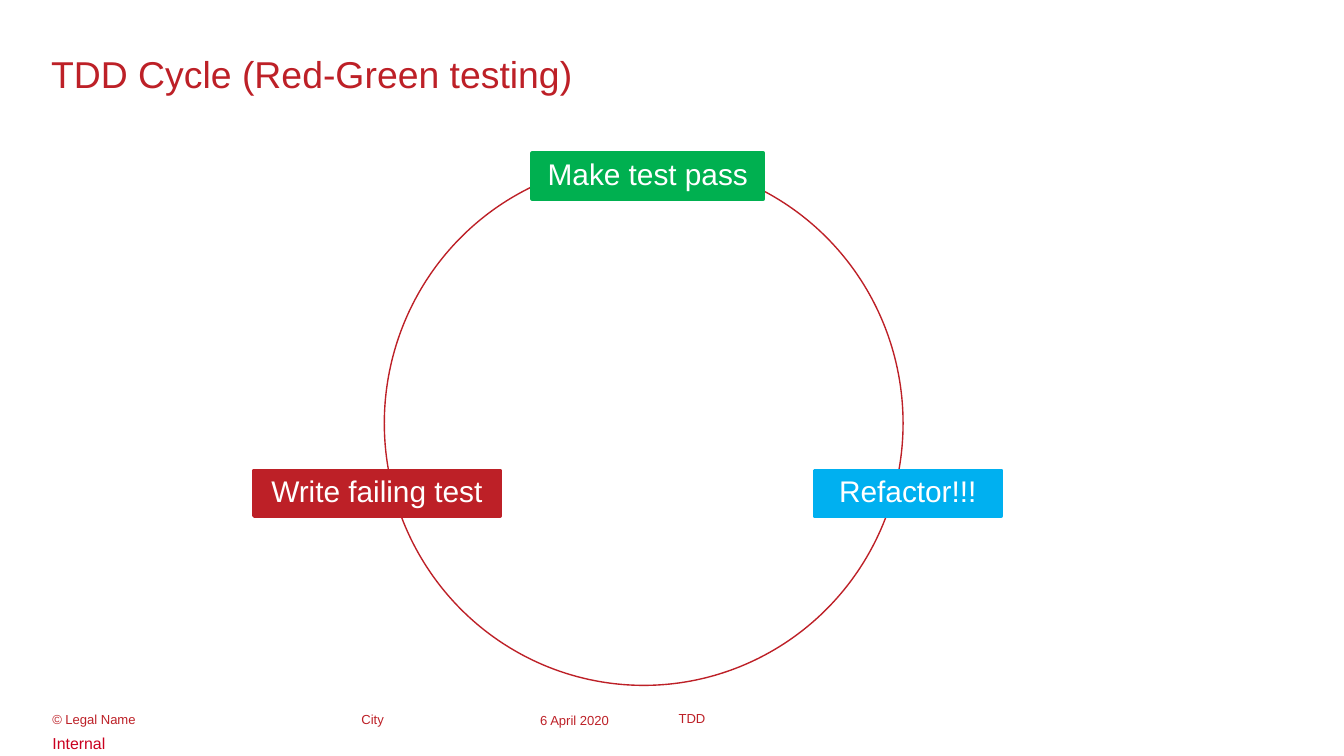
"""Build the TDD cycle slide: three labelled steps around a circle."""
from pptx import Presentation
from pptx.dml.color import RGBColor
from pptx.enum.shapes import MSO_SHAPE
from pptx.enum.text import MSO_ANCHOR, MSO_AUTO_SIZE, PP_ALIGN
from pptx.util import Inches, Pt

ELLIPSE, RECTANGLE = MSO_SHAPE.OVAL, MSO_SHAPE.RECTANGLE
TOP, MIDDLE = MSO_ANCHOR.TOP, MSO_ANCHOR.MIDDLE
LEFT, CENTER = PP_ALIGN.LEFT, PP_ALIGN.CENTER
RED = RGBColor(0xBD, 0x20, 0x27)
LABEL_RED = RGBColor(0xCA, 0x00, 0x1F)
GREEN = RGBColor(0x00, 0xB0, 0x50)
BLUE = RGBColor(0x00, 0xB0, 0xF0)
WHITE = RGBColor(0xFF, 0xFF, 0xFF)

deck = Presentation()
deck.slide_width = Inches(10)
deck.slide_height = deck.slide_width * 9 // 16
COLUMN, ROW = deck.slide_width / 100, deck.slide_height / 100
page = deck.slides.add_slide(deck.slide_layouts[5])


def area(left, top, width, height):
    """Turn percentages of the slide into a left, top, width and height."""
    return int(left * COLUMN), int(top * ROW), int(width * COLUMN), int(height * ROW)


def write(box, text, size=7, color=RED, anchor=TOP, align=LEFT,
          margins=(0, 0, 0, 0), spacing=1.0, before=0, after=0):
    """Put one formatted paragraph into a shape."""
    frame = box.text_frame
    frame.word_wrap = True
    frame.auto_size = MSO_AUTO_SIZE.NONE
    frame.vertical_anchor = anchor
    (frame.margin_left, frame.margin_top,
     frame.margin_right, frame.margin_bottom) = [Inches(margin) for margin in margins]
    para = frame.paragraphs[0]
    para.alignment = align
    para.line_spacing = spacing
    para.space_before, para.space_after = Pt(before), Pt(after)
    span = para.add_run()
    span.text = text
    span.font.name, span.font.size = "Arial", Pt(size)
    span.font.color.rgb = color


title = page.shapes.title
title.left, title.top, title.width, title.height = area(3.8, 6.76, 91.7, 9.07)
write(title, "TDD Cycle (Red-Green testing)", size=20)

FOOTER_TOP, FOOTER_HEIGHT = 94.22, 1.6
INDENTED = {"margins": (0.01, 0, 0, 0), "spacing": 0.96, "before": 0.1}
footers = [
    ("© Legal Name", 3.8, 21.6, INDENTED),
    ("City", 26.8, 12.3, INDENTED),
    ("6 April 2020", 40.2, 8.7, {}),
    ("TDD", 50.5, 31.7, {"anchor": MIDDLE}),
]
for text, left, width, style in footers:
    box = page.shapes.add_textbox(*area(left, FOOTER_TOP, width, FOOTER_HEIGHT))
    write(box, text, **style)

internal = page.shapes.add_textbox(*area(0, 96.22, 100, 4.27))
write(internal, "Internal", size=8.5, color=LABEL_RED, margins=(0.39, 0.05, 0.1, 0.05))

cycle = page.shapes.add_shape(ELLIPSE, *area(28.6, 21.33, 38.6, 69.33))
cycle.shadow.inherit = False
cycle.fill.background()
cycle.line.color.rgb, cycle.line.width = RED, Pt(0.75)

STEP_HEIGHT = 6.04
steps = [
    ("Make test pass", 39.6, 20.27, 17.2, GREEN),
    ("Refactor!!!", 60.6, 62.22, 13.9, BLUE),
    ("Write failing test", 18.9, 62.22, 18.3, RED),
]
for text, left, top, width, color in steps:
    step = page.shapes.add_shape(RECTANGLE, *area(left, top, width, STEP_HEIGHT))
    step.shadow.inherit = False
    step.fill.solid()
    step.fill.fore_color.rgb = color
    step.line.color.rgb, step.line.width = color, Pt(2)
    write(step, text, size=16, color=WHITE, anchor=MIDDLE, align=CENTER,
          margins=(0.1, 0.05, 0.1, 0.05), spacing=0.9, after=10)

deck.save("out.pptx")
